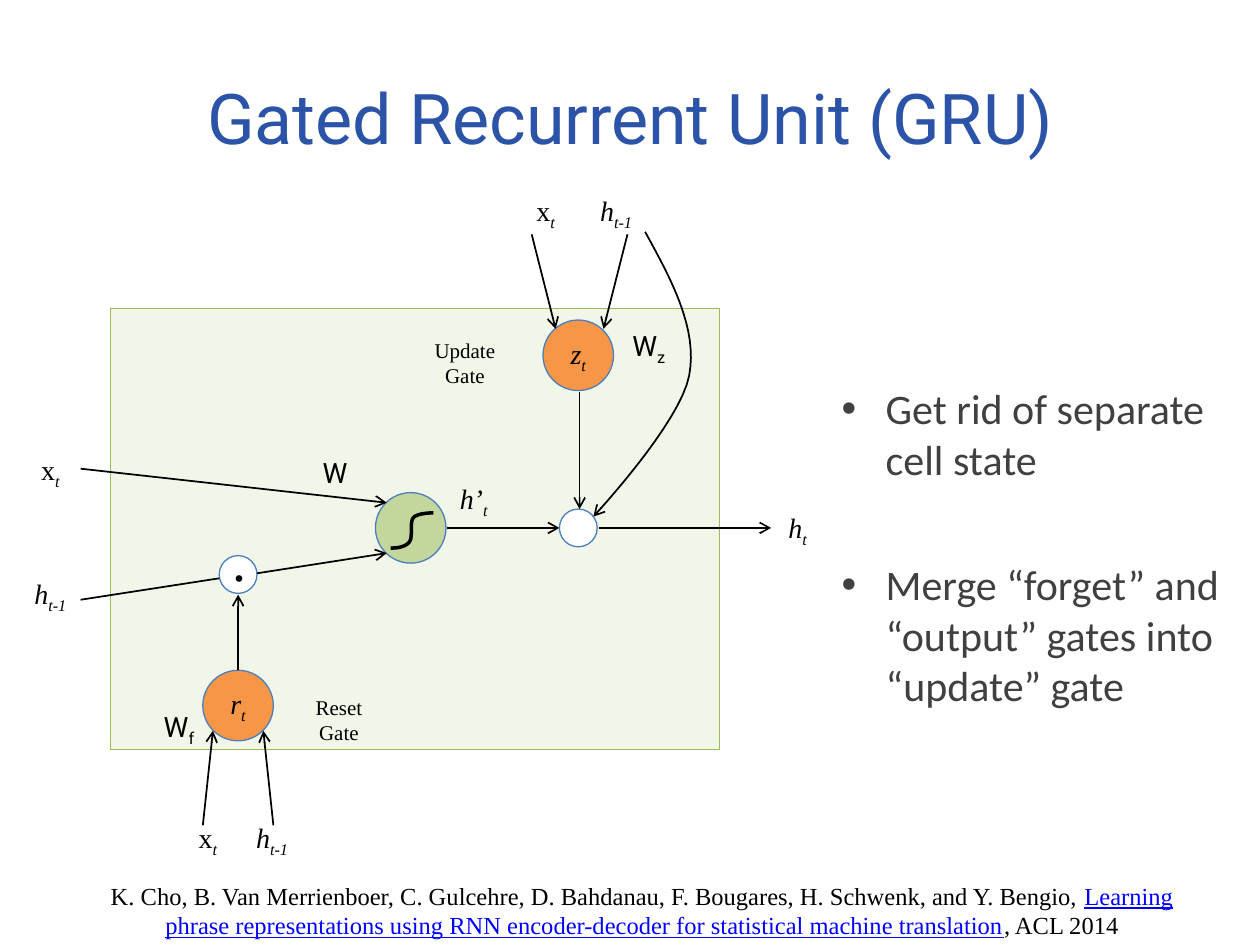
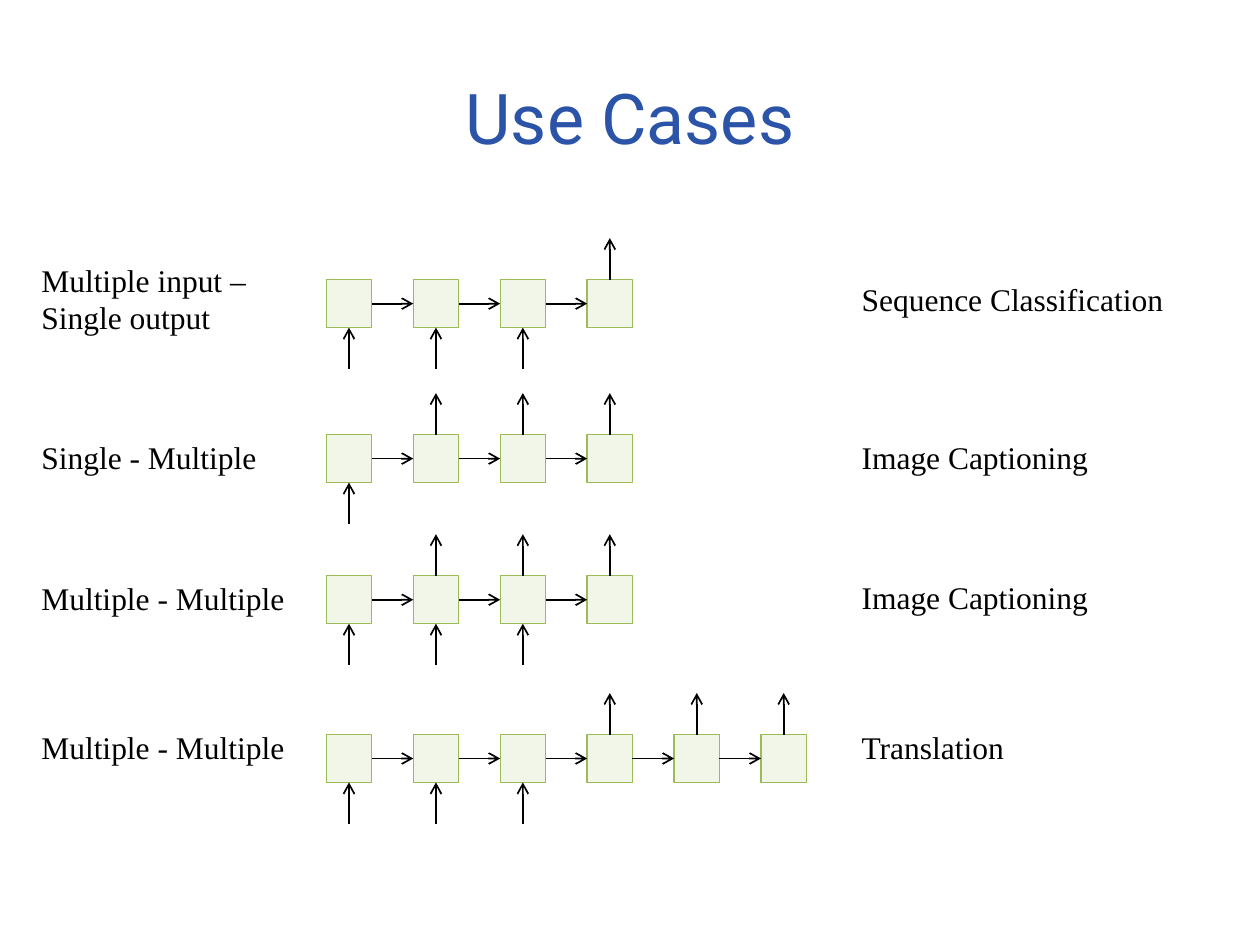
from lxml import etree
from pptx import Presentation
from pptx import util as u
from pptx.dml.color import RGBColor
from pptx.enum import shapes, text
from pptx.oxml import ns

TITLE_BLUE = RGBColor(0x2B, 0x53, 0xA8)
LINK_BLUE = RGBColor(0x00, 0x00, 0xFF)
BODY_GREY = RGBColor(0x40, 0x40, 0x40)
BLACK = RGBColor(0, 0, 0)
WHITE = RGBColor(0xFF, 0xFF, 0xFF)
PALE_GREEN = RGBColor(0xD7, 0xE4, 0xBD)
EDGE_GREEN = RGBColor(0x9B, 0xBB, 0x59)
NODE_GREEN = RGBColor(0xC3, 0xD6, 0x9B)
NODE_EDGE = RGBColor(0x4B, 0x7E, 0xBC)
ORANGE = RGBColor(0xF7, 0x96, 0x46)
SERIF, SANS, BODY = "Times New Roman", "Roboto", "Calibri"
LEFT, CENTER = text.PP_ALIGN.LEFT, text.PP_ALIGN.CENTER
TOP, MIDDLE = text.MSO_ANCHOR.TOP, text.MSO_ANCHOR.MIDDLE
RECT, OVAL = shapes.MSO_SHAPE.RECTANGLE, shapes.MSO_SHAPE.OVAL


def write(shape, runs, size, font=SERIF, color=BLACK, align=CENTER, anchor=TOP):
    """Fill a shape with (text, style) runs; style letters: i italic, s subscript, l link."""
    frame = shape.text_frame
    frame.vertical_anchor = anchor
    paragraph = frame.paragraphs[0]
    paragraph.alignment = align
    for words, style in runs:
        run = paragraph.add_run()
        run.text = words
        run.font.name, run.font.size = font, u.Pt(size)
        run.font.italic = "i" in style
        run.font.underline = "l" in style
        run.font.color.rgb = LINK_BLUE if "l" in style else color
        if "s" in style:
            run._r.get_or_add_rPr().set("baseline", "-25000")


def ink(stroke, width=1, arrow=True):
    """Draw a connector or curve in black, without shadow."""
    stroke.line.color.rgb = BLACK
    stroke.line.width = u.Pt(width)
    if arrow:
        etree.SubElement(stroke.line._get_or_add_ln(), ns.qn("a:tailEnd"), type="arrow")
    etree.SubElement(stroke._element.spPr, ns.qn("a:effectLst"))


prs = Presentation()
prs.slide_width, prs.slide_height = u.Inches(10), u.Inches(7.5)
gru, cases = [prs.slides.add_slide(prs.slide_layouts[6]) for _ in range(2)]

for slide, heading in ((gru, "Gated Recurrent Unit (GRU)"), (cases, "Use Cases")):
    title = slide.shapes.add_textbox(*map(u.Inches, (0.5, 0.3, 9, 1.25)))
    title.text_frame.word_wrap = True
    write(title, [(heading, "")], 40, SANS, TITLE_BLUE, anchor=MIDDLE)

# GRU cell: panel, gates and junctions
Z_T = [("z", "i"), ("t", "is")]
R_T = [("r", "i"), ("t", "is")]
X_T = [("x", ""), ("t", "is")]
H_T = [("h", "i"), ("t", "is")]
H_PREV = [("h", "i"), ("t-1", "is")]
H_NEW = [("h’", "i"), ("t", "is")]
GATE, JOINT = 0.56, 0.3
blocks = [
    (gru, RECT, 0.88, 2.45, 4.83, 3.5, PALE_GREEN, []),
    (gru, OVAL, 4.31, 2.54, GATE, GATE, ORANGE, Z_T),
    (gru, OVAL, 1.61, 5.32, GATE, GATE, ORANGE, R_T),
    (gru, OVAL, 2.98, 3.91, GATE, GATE, NODE_GREEN, []),
    (gru, OVAL, 4.44, 4.04, JOINT, JOINT, WHITE, []),
    (gru, OVAL, 1.74, 4.41, JOINT, JOINT, WHITE, []),
]
RESET_INPUT = (0.64, 4.76, 1.74, 4.59)  # the one line without an arrowhead
arrows = [
    (gru, 4.6, 3.11, 4.6, 4.04),
    (gru, 3.55, 4.19, 4.44, 4.19),
    (gru, 4.75, 4.19, 6.12, 4.19),
    (gru, 1.89, 5.32, 1.89, 4.72),
    (gru, 4.98, 1.86, 4.79, 2.61),
    (gru, 4.22, 1.86, 4.41, 2.61),
    (gru, 2.17, 6.55, 2.09, 5.8),
    (gru, 1.61, 6.55, 1.69, 5.8),
    (gru, 0.64, 3.72, 3.07, 3.99),
    (gru, *RESET_INPUT),
    (gru, 2.04, 4.55, 3.07, 4.39),
]

# Use cases: rows of cells with their inputs and outputs
CELL_W, CELL_H, PITCH, FIRST_X, STEM = 0.36, 0.38, 0.69, 2.59, 0.33
use_cases = [
    # scheme, its top, application, its top, row top, cells, inputs, outputs
    ("Multiple input – Single output", 2.02, "Sequence Classification", 2.17, 2.22, 4, (0, 1, 2), (3,)),
    ("Single - Multiple", 3.43, "Image Captioning", 3.43, 3.45, 4, (0,), (1, 2, 3)),
    ("Multiple - Multiple", 4.55, "Image Captioning", 4.54, 4.57, 4, (0, 1, 2), (1, 2, 3)),
    ("Multiple - Multiple", 5.73, "Translation", 5.73, 5.83, 6, (0, 1, 2), (3, 4, 5)),
]
for scheme, scheme_top, application, application_top, top, count, inputs, outputs in use_cases:
    for i in range(count):
        x = FIRST_X + i * PITCH
        middle_x, middle_y, bottom = x + CELL_W / 2, top + CELL_H / 2, top + CELL_H
        blocks.append((cases, RECT, x, top, CELL_W, CELL_H, PALE_GREEN, []))
        if i < count - 1:
            arrows.append((cases, x + CELL_W, middle_y, x + PITCH, middle_y))
        if i in inputs:
            arrows.append((cases, middle_x, bottom + STEM, middle_x, bottom))
        if i in outputs:
            arrows.append((cases, middle_x, top, middle_x, top - STEM))
    for words, left, label_top, width in ((scheme, 0.23, scheme_top, 2.36),
                                          (application, 6.74, application_top, 3.26)):
        label = cases.shapes.add_textbox(*map(u.Inches, (left, label_top, width, 0.4)))
        label.text_frame.word_wrap = True
        write(label, [(words, "")], 18, align=LEFT)

for slide, outline, left, top, width, height, fill, symbol in blocks:
    block = slide.shapes.add_shape(outline, *map(u.Inches, (left, top, width, height)))
    block.shadow.inherit = False
    block.fill.solid()
    block.fill.fore_color.rgb = fill
    block.line.color.rgb = EDGE_GREEN if outline == RECT else NODE_EDGE
    block.line.width = u.Pt(0.75)
    if fill == PALE_GREEN:
        tint = block._element.spPr.find(".//" + ns.qn("a:srgbClr"))
        etree.SubElement(tint, ns.qn("a:alpha"), val="33000")
    if symbol:
        write(block, symbol, 16, anchor=MIDDLE)

for slide, *ends in arrows:
    join = slide.shapes.add_connector(shapes.MSO_CONNECTOR.STRAIGHT, *map(u.Inches, ends))
    ink(join, arrow=tuple(ends) != RESET_INPUT)

# Sigmoid sign and the bypass of the previous state, as chained cubic curves
STEPS = 16
sigmoid = [(3.1, 4.35), (3.16, 4.35), (3.22, 4.34), (3.25, 4.3), (3.28, 4.26),
           (3.25, 4.15), (3.28, 4.11), (3.31, 4.07), (3.44, 4.07), (3.44, 4.07)]
bypass = [(5.12, 1.84), (5.33, 2.22), (5.54, 2.61), (5.47, 2.98),
          (5.4, 3.36), (4.71, 4.1), (4.71, 4.1)]
for controls, width, arrow in ((sigmoid, 2, False), (bypass, 1, True)):
    points = []
    for k in range(0, len(controls) - 1, 3):
        for step in range(1, STEPS + 1):
            t = step / STEPS
            weights = ((1 - t) ** 3, 3 * t * (1 - t) ** 2, 3 * t * t * (1 - t), t ** 3)
            points.append([u.Inches(sum(w * c[axis] for w, c in zip(weights, controls[k:k + 4])))
                           for axis in (0, 1)])
    builder = gru.shapes.build_freeform(*map(u.Inches, controls[0]))
    builder.add_line_segments(points, close=False)
    curve = builder.convert_to_shape()
    curve.fill.background()
    ink(curve, width, arrow)

# Labels of the GRU diagram: centre, top, runs, size, font
for center, top, runs, size, font in (
    (4.33, 1.49, X_T, 16, SERIF),
    (4.89, 1.49, H_PREV, 16, SERIF),
    (0.4, 3.54, X_T, 16, SERIF),
    (0.4, 4.53, H_PREV, 16, SERIF),
    (1.65, 6.46, X_T, 16, SERIF),
    (2.16, 6.46, H_PREV, 16, SERIF),
    (3.76, 3.77, H_NEW, 16, SERIF),
    (6.33, 4, H_T, 16, SERIF),
    (2.66, 3.57, [("W", "")], 16, SANS),
    (5.15, 2.56, [("W", ""), ("z", "s")], 16, SANS),
    (1.42, 5.58, [("W", ""), ("f", "s")], 16, SANS),
    (3.69, 2.63, [("Update Gate", "")], 12, SERIF),
    (2.69, 5.46, [("Reset Gate", "")], 12, SERIF),
    (1.9, 4.12, [(".", "")], 32, SERIF),
):
    label = gru.shapes.add_textbox(*map(u.Inches, (center - 0.4, top, 0.8, 0.37)))
    label.text_frame.word_wrap = False
    write(label, runs, size, font)

notes = gru.shapes.add_textbox(*map(u.Inches, (6.63, 2.99, 3.17, 2.96)))
frame = notes.text_frame
frame.word_wrap = True
frame.margin_left = frame.margin_right = u.Inches(0.05)
for i, point in enumerate(("Get rid of separate cell state",
                           "Merge “forget” and “output” gates into “update” gate")):
    paragraph = frame.add_paragraph() if i else frame.paragraphs[0]
    properties = paragraph._p.get_or_add_pPr()
    properties.set("marL", str(u.Inches(0.35)))
    properties.set("indent", str(-u.Inches(0.35)))
    if i:
        paragraph.space_before = u.Pt(43)
    etree.SubElement(properties, ns.qn("a:buFont"), typeface="Arial")
    etree.SubElement(properties, ns.qn("a:buChar"), char="•")
    run = paragraph.add_run()
    run.text = point
    run.font.name, run.font.size = BODY, u.Pt(24)
    run.font.color.rgb = BODY_GREY

citation = gru.shapes.add_textbox(*map(u.Inches, (0.61, 6.94, 8.97, 0.57)))
citation.text_frame.word_wrap = True
write(citation, [
    ("K. Cho, B. Van Merrienboer, C. Gulcehre, D. Bahdanau, F. Bougares, H. Schwenk, and Y. Bengio, ", ""),
    ("Learning phrase representations using RNN encoder-decoder for statistical machine translation", "l"),
    (", ACL 2014", ""),
], 14)

prs.save("out.pptx")
